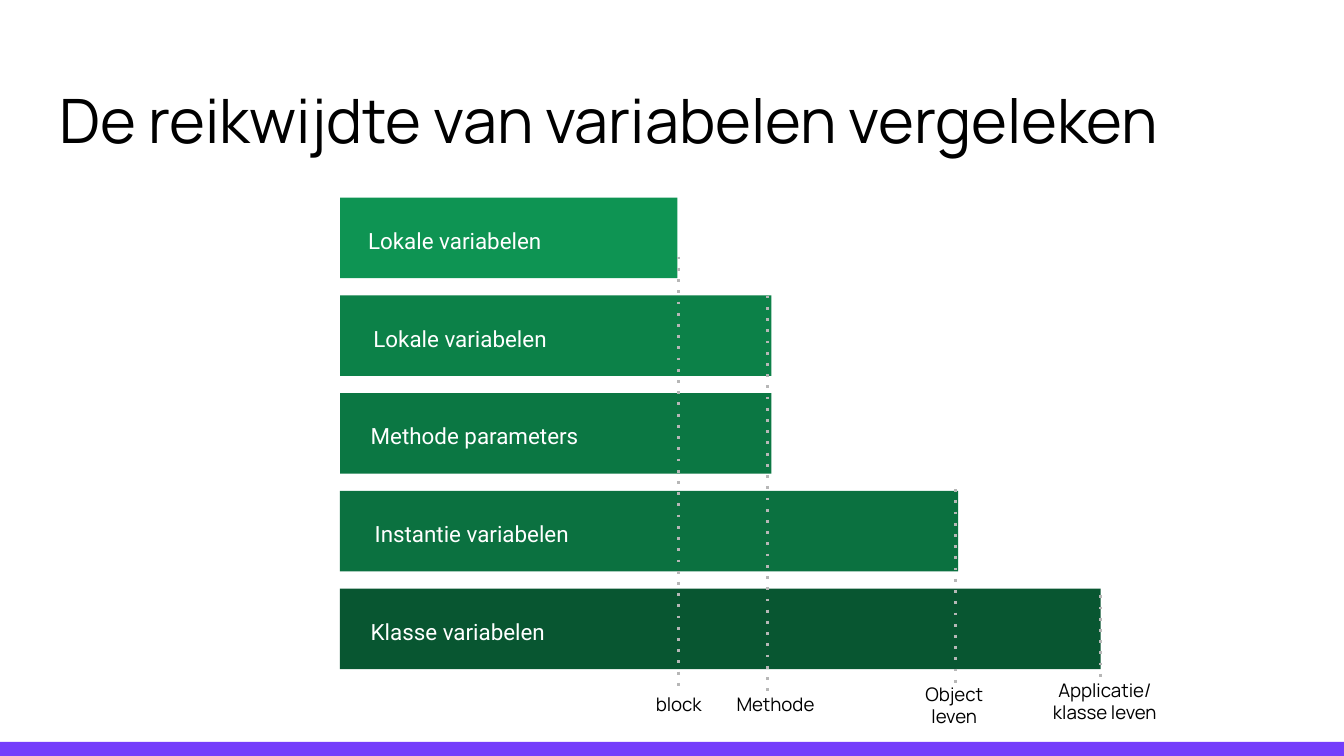
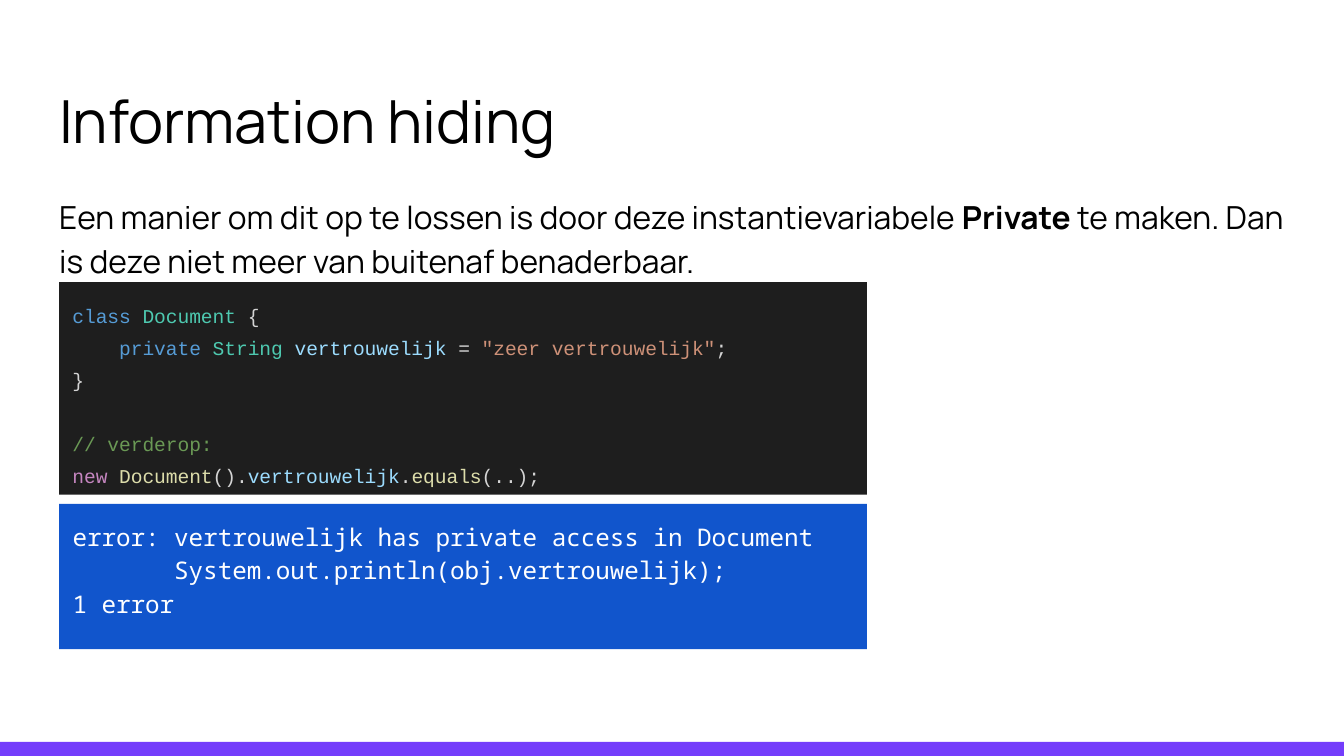
import pptx
import pptx.util
import pptx.dml.color
import pptx.enum.shapes
import pptx.enum.text
import pptx.oxml
import pptx.oxml.ns

Inches = pptx.util.Inches
Pt = pptx.util.Pt
RGBColor = pptx.dml.color.RGBColor
ALIGN = pptx.enum.text.PP_ALIGN
ANCHOR = pptx.enum.text.MSO_ANCHOR
FIT = pptx.enum.text.MSO_AUTO_SIZE
RECT = pptx.enum.shapes.MSO_SHAPE.RECTANGLE
STRAIGHT = pptx.enum.shapes.MSO_CONNECTOR.STRAIGHT

BLACK = RGBColor(0x00, 0x00, 0x00)
WHITE = RGBColor(0xFF, 0xFF, 0xFF)
PURPLE = RGBColor(0x74, 0x3D, 0xFB)
GREY = RGBColor(0xB7, 0xB7, 0xB7)
BLUE = RGBColor(0x11, 0x55, 0xCC)
DARK = RGBColor(0x1E, 0x1E, 0x1E)

# Bar shades, light to dark
MINT = RGBColor(0x0E, 0x94, 0x53)
LEAF = RGBColor(0x0C, 0x81, 0x48)
GREEN = RGBColor(0x0B, 0x77, 0x43)
MOSS = RGBColor(0x0B, 0x71, 0x40)
PINE = RGBColor(0x08, 0x56, 0x31)

# Syntax colours
PLAIN = RGBColor(0xD4, 0xD4, 0xD4)
KEY = RGBColor(0x56, 0x9C, 0xD6)
TYPE = RGBColor(0x4E, 0xC9, 0xB0)
FIELD = RGBColor(0x9C, 0xDC, 0xFE)
QUOTE = RGBColor(0xCE, 0x91, 0x78)
NOTE = RGBColor(0x6A, 0x99, 0x55)
NEW = RGBColor(0xC5, 0x86, 0xC0)
CALL = RGBColor(0xDC, 0xDC, 0xAA)

SANS = "Manrope"
LABEL = "Roboto"
CODE = "Courier New"
MONO = "Noto Sans Mono"

TITLE = (0.34, 0.35, 9.32, 0.91)
BAND = (0, 5.52, 10, 0.11)
CHART = (2.53, 1.47, 5.66, 3.51)
BODY = (0.34, 1.33, 9.32, 4.12)
LIST = (0.44, 2.1, 6.01, 1.58)
ERROR = (0.44, 3.75, 6.01, 1.08)

# Label, label indent, bar width, shade
BARS = [
    ("Lokale variabelen", 0.11, 2.51, MINT),
    ("Lokale variabelen", 0.15, 3.21, LEAF),
    ("Methode parameters", 0.13, 3.21, GREEN),
    ("Instantie variabelen", 0.16, 4.6, MOSS),
    ("Klasse variabelen", 0.13, 5.66, PINE),
]
TALL = 0.6

# Caption, its left and top, then line x, top and bottom, from the chart corner
MARKS = [
    ("block", 1.79, 3.6, 2.52, 0.44, 3.64),
    ("Methode", 2.51, 3.6, 3.18, 0.73, 3.72),
    ("Object\nleven", 3.84, 3.51, 4.58, 2.17, 3.64),
    ("Applicatie/\nklasse leven", 4.96, 3.48, 5.66, 2.96, 3.58),
]

SOURCE = [
    [("class", KEY), (" ", PLAIN), ("Document", TYPE), (" {", PLAIN)],
    [("    ", PLAIN), ("private ", KEY), ("String", TYPE), (" ", PLAIN),
     ("vertrouwelijk", FIELD), (" = ", PLAIN),
     ('"zeer vertrouwelijk"', QUOTE), (";", PLAIN)],
    [("}", PLAIN)],
    [],
    [("// verderop:", NOTE)],
    [("new", NEW), (" ", PLAIN), ("Document", CALL), ("().", PLAIN),
     ("vertrouwelijk", FIELD), (".", PLAIN), ("equals", CALL),
     ("(..);", PLAIN)],
]


def style(font, name, size, color, bold=False):
    font.name, font.size, font.bold = name, Pt(size), bold
    font.color.rgb = color


def place(shape, box):
    shape.left, shape.top, shape.width, shape.height = map(Inches, box)


def tag(name, attrs=""):
    space = pptx.oxml.ns.nsdecls("a")
    return pptx.oxml.parse_xml(f"<a:{name} {space} {attrs}/>")


def setup(frame, anchor=ANCHOR.TOP, pad=0.1, fit=FIT.NONE):
    frame.word_wrap = True
    frame.auto_size = fit
    frame.vertical_anchor = anchor
    frame.margin_left = frame.margin_right = Inches(0.1)
    frame.margin_top = frame.margin_bottom = Inches(pad)


def paint(shape, color):
    shape.fill.solid()
    shape.fill.fore_color.rgb = color
    shape.line.fill.background()


def panel(shapes, box, color):
    shape = shapes.add_shape(RECT, *map(Inches, box))
    shape.shadow.inherit = False
    paint(shape, color)
    return shape


def write(shapes, box, text, name, size, color, **frame):
    shape = shapes.add_textbox(*map(Inches, box))
    setup(shape.text_frame, **frame)
    para = shape.text_frame.paragraphs[0]
    para.text = text
    for run in para.runs:
        style(run.font, name, size, color)
    return para


def head(slide, text, size):
    title = slide.shapes.title
    place(title, TITLE)
    setup(title.text_frame, ANCHOR.BOTTOM)
    title.text_frame.text = text
    para = title.text_frame.paragraphs[0]
    para.alignment = ALIGN.LEFT
    style(para.runs[0].font, SANS, size, BLACK)


def footer(deck, slide):
    # Moved to the master, so every slide shows it
    band = panel(slide.shapes, BAND, PURPLE)
    deck.slide_master.shapes.element.append(band.element)


def bars(slide, box):
    left, top, _, high = box
    step = (high - TALL) / (len(BARS) - 1)
    for row, (text, indent, wide, color) in reversed(list(enumerate(BARS))):
        y = top + row * step
        group = slide.shapes.add_group_shape()
        panel(group.shapes, (left, y, wide, TALL), color)
        para = write(group.shapes, (left + indent, y + 0.17, wide - 0.3, 0.27),
                     text, LABEL, 12, WHITE, anchor=ANCHOR.MIDDLE, pad=0.05)
        para.line_spacing = 1.15


def marks(slide, box):
    left, top = box[:2]
    for text, x, y, *_ in MARKS:
        tall = 0.54 if "\n" in text else 0.37
        para = write(slide.shapes, (left + x, top + y, 1.46, tall),
                     text, SANS, 10, BLACK, fit=FIT.SHAPE_TO_FIT_TEXT)
        para.alignment = ALIGN.CENTER
    for *_, x, start, end in MARKS:
        line = slide.shapes.add_connector(
            STRAIGHT, Inches(left + x), Inches(top + start),
            Inches(left + x), Inches(top + end))
        line.line.color.rgb = GREY
        line.line.width = Pt(1.5)
        props = line.element.spPr
        props.find(pptx.oxml.ns.qn("a:ln")).append(tag("prstDash", 'val="dot"'))
        props.append(tag("effectLst"))


def body(shape, box):
    # Plain paragraph without the template's bullet
    place(shape, box)
    setup(shape.text_frame)
    para = shape.text_frame.paragraphs[0]
    props = para._p.get_or_add_pPr()
    props.set("marL", "0")
    props.set("indent", "0")
    props.append(tag("buNone"))
    para.line_spacing = 1.15
    para.space_before, para.space_after = Pt(0), Pt(12)
    return para


def intro(slide, box):
    para = body(slide.placeholders[1], box)
    parts = [
        ("Een manier om dit op te lossen is door deze instantievariabele ", False),
        ("Private", True),
        (" te maken. Dan is deze niet meer van buitenaf benaderbaar.", False),
    ]
    for text, bold in parts:
        run = para.add_run()
        run.text = text
        style(run.font, SANS, 17, BLACK, bold)


def listing(slide, box):
    frame = panel(slide.shapes, box, DARK).text_frame
    setup(frame, fit=FIT.SHAPE_TO_FIT_TEXT)
    for row, parts in enumerate(SOURCE):
        para = frame.add_paragraph() if row else frame.paragraphs[0]
        para.alignment = ALIGN.LEFT
        para.line_spacing = 1.36
        for text, color in parts:
            run = para.add_run()
            run.text = text
            style(run.font, CODE, 10.5, color)
        if not parts:
            # The empty code line keeps the height of the others
            para._p.get_or_add_endParaRPr().set("sz", "1050")


def error(slide, box):
    shape = slide.placeholders[2]
    para = body(shape, box)
    paint(shape, BLUE)
    para.text = ("error: vertrouwelijk has private access in Document\n"
                 "       System.out.println(obj.vertrouwelijk);\n"
                 "1 error")
    for run in para.runs:
        style(run.font, MONO, 13, WHITE)


def scope(deck):
    slide = deck.slides.add_slide(deck.slide_layouts[5])
    footer(deck, slide)
    head(slide, "De reikwijdte van variabelen vergeleken", 32.8)
    bars(slide, CHART)
    marks(slide, CHART)


def hiding(deck):
    slide = deck.slides.add_slide(deck.slide_layouts[3])
    head(slide, "Information hiding", 31.8)
    intro(slide, BODY)
    listing(slide, LIST)
    error(slide, ERROR)


def main():
    deck = pptx.Presentation()
    # Widescreen, 16 by 9
    deck.slide_width = Inches(10)
    deck.slide_height = deck.slide_width * 9 // 16
    scope(deck)
    hiding(deck)
    deck.save("out.pptx")


if __name__ == "__main__":
    main()
